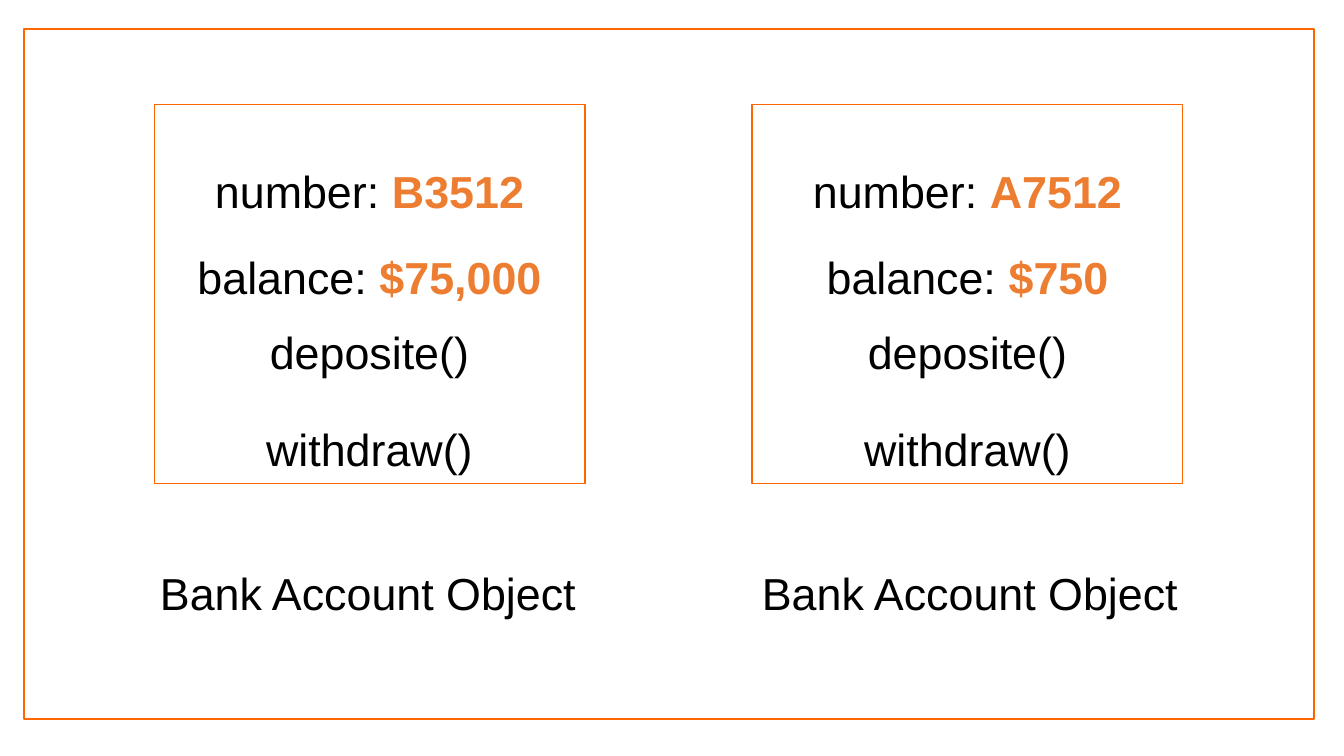
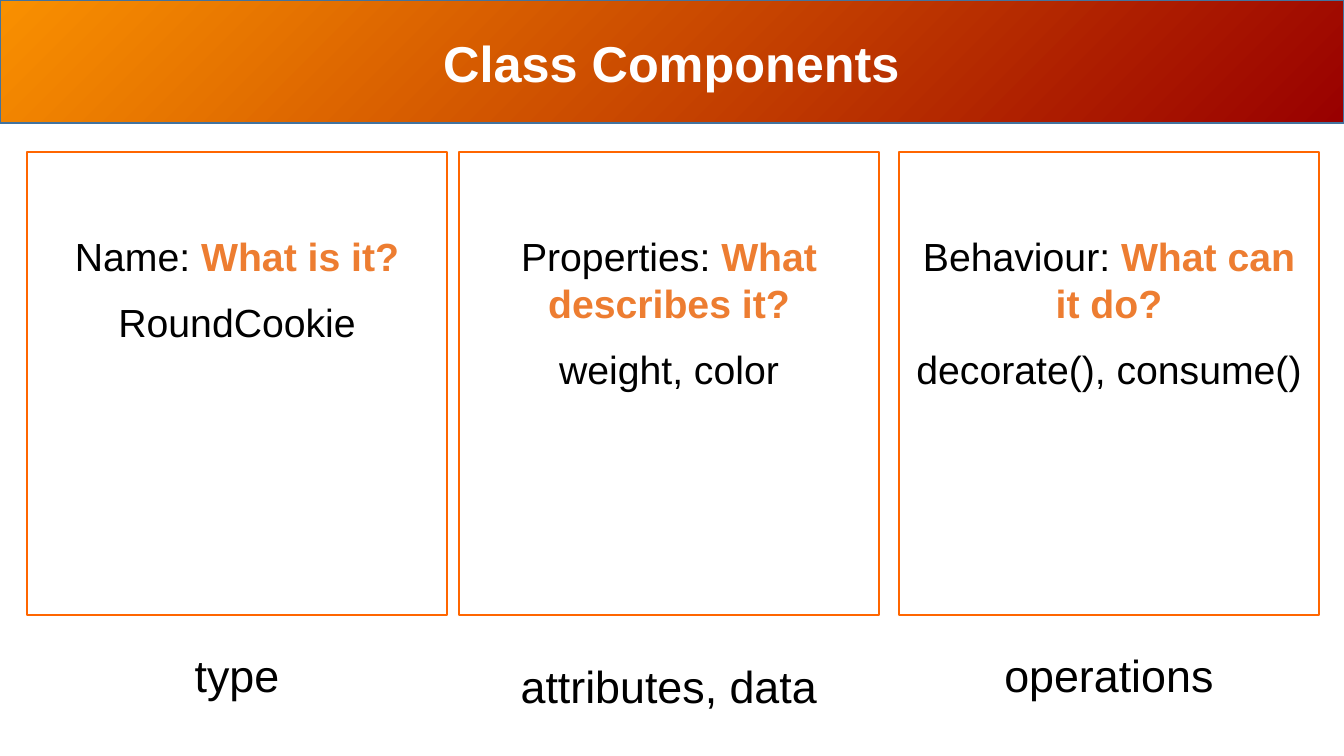
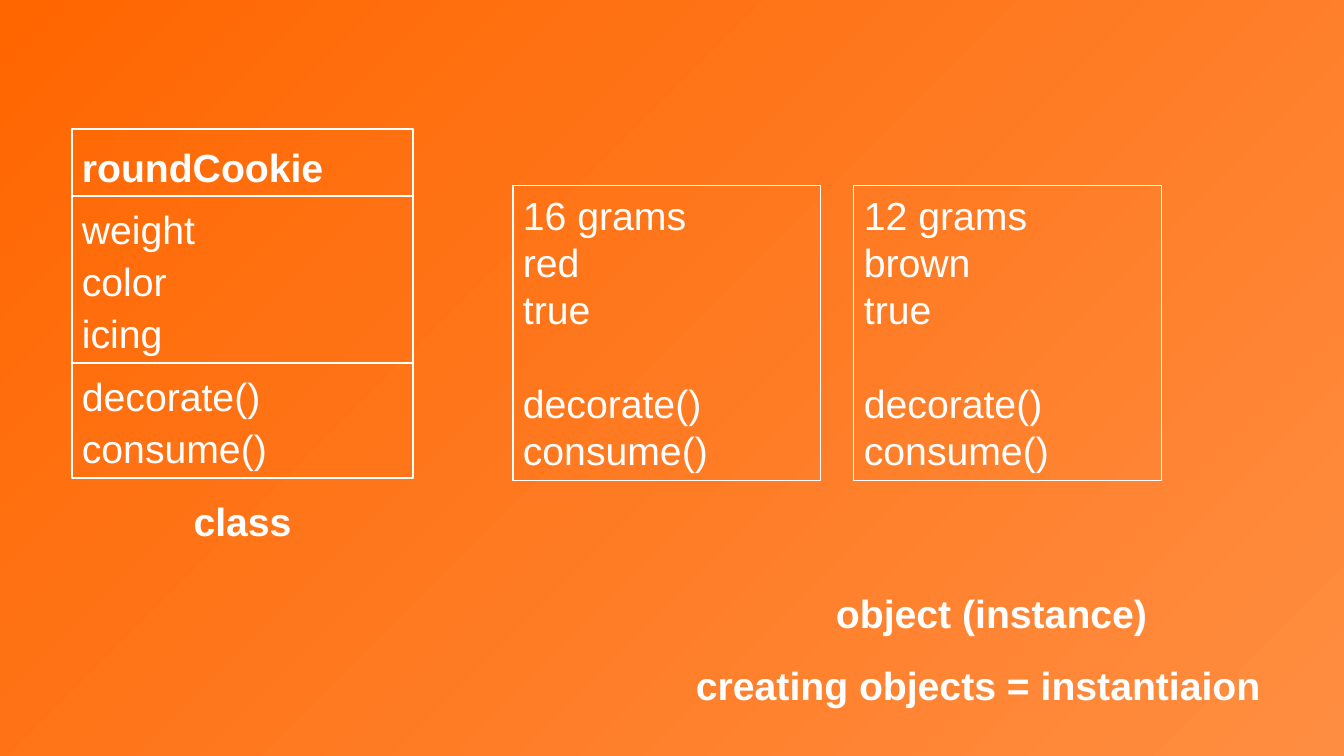
from dataclasses import dataclass

from pptx import Presentation
from pptx.dml.color import RGBColor
from pptx.enum.shapes import MSO_SHAPE
from pptx.enum.text import MSO_ANCHOR, MSO_AUTO_SIZE, PP_ALIGN
from pptx.util import Pt

EMU_PER_PX = 914400 / 100.8
TITLE_ONLY, BLANK = 5, 6


def px(length):
    return round(length * EMU_PER_PX)


def rgb(color):
    return RGBColor.from_string(color)


@dataclass
class Line:
    """One paragraph: plain text, then an optional highlighted part."""
    text: str
    highlight: str = ""
    spacing: float = 1.0
    before: int = 0


class Deck:
    FONT = "Arial"
    BLACK, WHITE = "000000", "FFFFFF"
    ACCENT, OUTLINE, BAND_OUTLINE = "ED7D31", "FF6600", "43739E"
    BAND_GRADIENT = ("F99000", "990000")
    PAGE_GRADIENT = ("FF6600", "FF8D41")
    WIDTH, HEIGHT, BAND_HEIGHT = 1344, 756, 123

    def __init__(self):
        self.presentation = Presentation()
        self.presentation.slide_width = px(self.WIDTH)
        self.presentation.slide_height = px(self.HEIGHT)
        self.slide = None

    def add_slide(self, layout=BLANK):
        layouts = self.presentation.slide_layouts
        self.slide = self.presentation.slides.add_slide(layouts[layout])

    def gradient(self, fill, colors):
        fill.gradient()
        fill.gradient_angle = 315
        for stop, color in zip(fill.gradient_stops, colors):
            stop.color.rgb = rgb(color)

    def gradient_background(self):
        self.gradient(self.slide.background.fill, self.PAGE_GRADIENT)

    def box(self, left, top, width, height, outline=OUTLINE, weight=1):
        shape = self.slide.shapes.add_shape(
            MSO_SHAPE.RECTANGLE, px(left), px(top), px(width), px(height))
        shape.shadow.inherit = False
        shape.fill.background()
        shape.line.color.rgb = rgb(outline)
        shape.line.width = Pt(weight)
        return shape

    def set_lines(self, shape, lines, size, color=BLACK, bold=False,
                  align=PP_ALIGN.CENTER, anchor=MSO_ANCHOR.TOP):
        frame = shape.text_frame
        frame.word_wrap = True
        frame.auto_size = MSO_AUTO_SIZE.NONE
        frame.vertical_anchor = anchor
        for index, line in enumerate(lines):
            paragraph = frame.add_paragraph() if index else frame.paragraphs[0]
            paragraph.alignment = align
            paragraph.line_spacing = line.spacing
            paragraph.space_before = Pt(line.before)
            font = paragraph.font
            font.name, font.size, font.bold = self.FONT, Pt(size), bold
            font.color.rgb = rgb(color)
            paragraph.add_run().text = line.text
            if line.highlight:
                run = paragraph.add_run()
                run.text = line.highlight
                run.font.bold = True
                run.font.color.rgb = rgb(self.ACCENT)

    def text(self, left, top, width, height, lines, size, **style):
        shape = self.slide.shapes.add_textbox(
            px(left), px(top), px(width), px(height))
        self.set_lines(shape, lines, size, **style)

    def title(self, text):
        band = self.box(0, 0, self.WIDTH, self.BAND_HEIGHT, self.BAND_OUTLINE)
        self.gradient(band.fill, self.BAND_GRADIENT)
        title = self.slide.shapes.title
        title.element.addprevious(band.element)
        title.left, title.top = px(300), px(26)
        title.width, title.height = px(743), px(72)
        self.set_lines(title, [Line(text)], 36, color=self.WHITE, bold=True,
                       anchor=MSO_ANCHOR.MIDDLE)


def account_slide(deck):
    deck.add_slide()
    deck.box(24, 29, 1290, 690)
    accounts = [(154, 150, "B3512", "$75,000"), (752, 752, "A7512", "$750")]
    for left, caption_left, number, balance in accounts:
        account = deck.box(left, 105, 431, 379, weight=0.75)
        deck.set_lines(account, [
            Line("number: ", number, 2.0),
            Line("balance: ", balance, 1.6),
            Line("deposite()", spacing=1.4),
            Line("withdraw()", spacing=1.8),
        ], 32)
        deck.text(caption_left, 561, 440, 65, [Line("Bank Account Object")], 32,
                  align=PP_ALIGN.LEFT)


def components_slide(deck):
    deck.add_slide(TITLE_ONLY)
    deck.title("Class Components")
    width = 420
    columns = [
        (27, "Name: ", "What is it?", "RoundCookie", "type", 643),
        (459, "Properties: ", "What describes it?", "weight, color",
         "attributes, data", 654),
        (899, "Behaviour: ", "What can it do?", "decorate(), consume()",
         "operations", 643),
    ]
    for left, label, question, example, caption, caption_top in columns:
        deck.box(left, 152, width, 463)
        deck.text(left, 227, width, 171,
                  [Line(label, question), Line(example, spacing=1.4)], 28)
        deck.text(left, caption_top, width, 65, [Line(caption)], 32)


def instance_slide(deck):
    deck.add_slide()
    deck.gradient_background()
    white = {"color": deck.WHITE}
    left_white = {**white, "align": PP_ALIGN.LEFT}
    bold_white = {**white, "bold": True}

    # Class diagram: name, attributes and operations stacked
    class_left, class_width, top = 72, 341, 129
    sections = [
        (67, 1.2, True, ["roundCookie"]),
        (167, 1.1, False, ["weight", "color", "icing"]),
        (115, 1.1, False, ["decorate()", "consume()"]),
    ]
    for height, spacing, bold, names in sections:
        section = deck.box(class_left, top, class_width, height, deck.WHITE)
        deck.set_lines(section, [Line(name, spacing=spacing) for name in names],
                       28, bold=bold, **left_white)
        top += height

    # Objects made from the class
    for left, weight, color in [(513, "16 grams", "red"),
                                (854, "12 grams", "brown")]:
        instance = deck.box(left, 186, 308, 295, deck.WHITE, 0.75)
        deck.set_lines(instance, [
            Line(weight), Line(color), Line("true"),
            Line("decorate()", before=34), Line("consume()"),
        ], 28, **left_white)

    # Captions
    deck.text(class_left, 492, class_width, 58, [Line("class")], 28, **bold_white)
    deck.text(821, 584, 341, 58, [Line("object (instance)")], 28, **bold_white)
    deck.text(686, 656, 612, 58, [Line("creating objects = instantiaion")], 28,
              bold=True, **left_white)


def main():
    deck = Deck()
    account_slide(deck)
    components_slide(deck)
    instance_slide(deck)
    deck.presentation.save("out.pptx")


if __name__ == "__main__":
    main()
